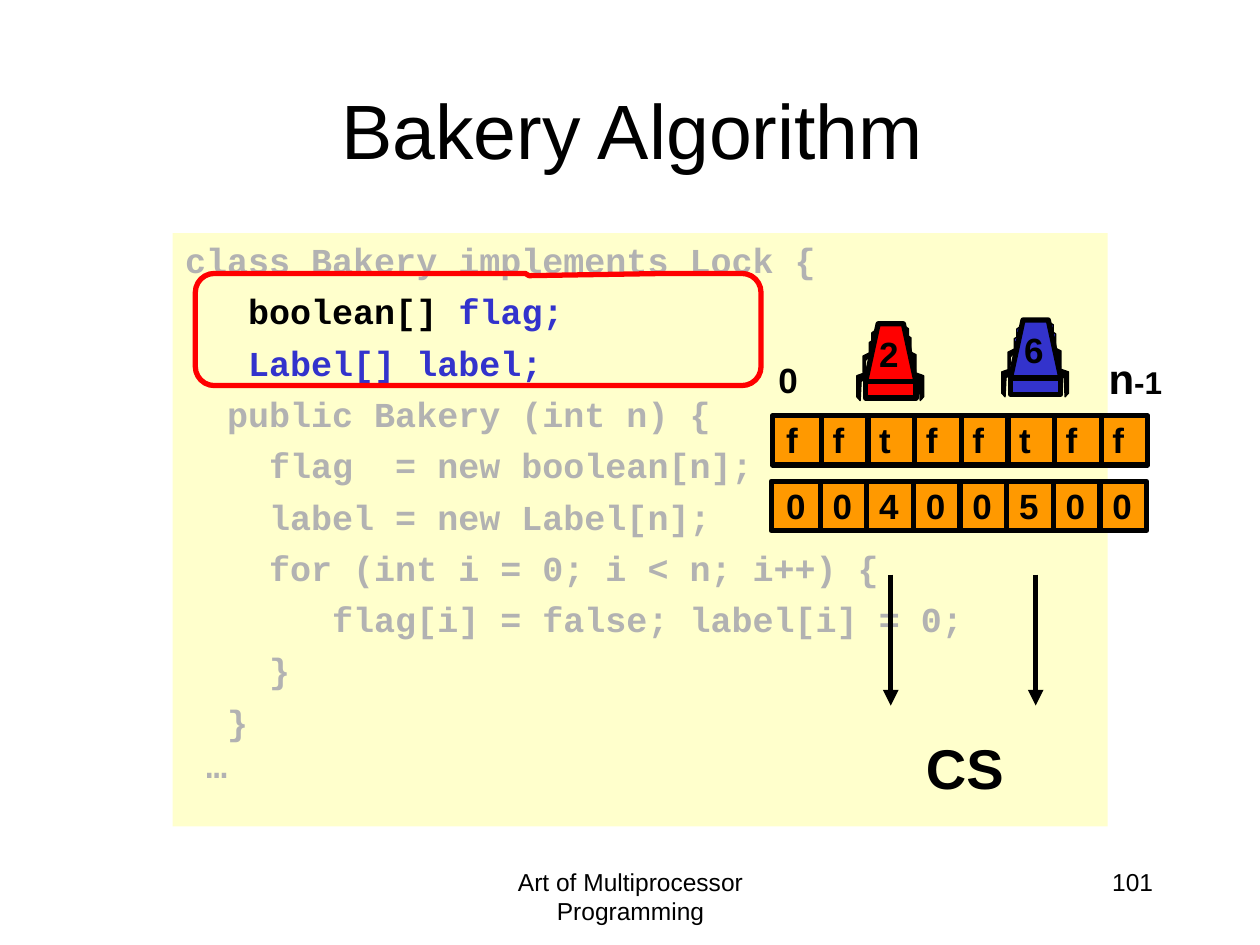
"""Build the Bakery Algorithm slide with its code panel and thread diagram."""
from dataclasses import dataclass
from typing import NamedTuple

from lxml import etree
from pptx import Presentation
from pptx.dml.color import RGBColor
from pptx.enum.shapes import MSO_CONNECTOR, MSO_SHAPE
from pptx.enum.text import MSO_ANCHOR, PP_ALIGN
from pptx.oxml.ns import qn
from pptx.util import Inches, Pt

RECTANGLE = MSO_SHAPE.RECTANGLE
CALLOUT = MSO_SHAPE.ROUNDED_RECTANGULAR_CALLOUT
STRAIGHT = MSO_CONNECTOR.STRAIGHT
TOP, MIDDLE = MSO_ANCHOR.TOP, MSO_ANCHOR.MIDDLE
LEFT, CENTER, RIGHT = PP_ALIGN.LEFT, PP_ALIGN.CENTER, PP_ALIGN.RIGHT


@dataclass(frozen=True)
class Theme:
    black: RGBColor = RGBColor(0, 0, 0)
    panel: RGBColor = RGBColor(0xFF, 0xFF, 0xCC)
    muted: RGBColor = RGBColor(0xB2, 0xB2, 0xB2)
    blue: RGBColor = RGBColor(0x33, 0x33, 0xCC)
    red: RGBColor = RGBColor(0xFF, 0, 0)
    orange: RGBColor = RGBColor(0xFF, 0x99, 0)
    body_font: str = "Arial"
    code_font: str = "Courier New"
    title: Pt = Pt(44)
    section: Pt = Pt(32)
    index: Pt = Pt(24)
    label: Pt = Pt(20)
    suffix: Pt = Pt(18)
    footer: Pt = Pt(14)
    heavy: Pt = Pt(3)
    thin: Pt = Pt(0.75)


THEME = Theme()


class Box(NamedTuple):
    left: float
    top: float
    width: float
    height: float

    def lengths(self) -> list:
        return [Inches(value) for value in self]


class Run(NamedTuple):
    text: str
    size: Pt = THEME.label
    color: RGBColor = THEME.black
    bold: bool = True
    font: str = THEME.body_font


class ArrayRow(NamedTuple):
    left: float
    top: float
    values: str
    label_width: float
    label_top: float


class Chair(NamedTuple):
    left: float
    top: float
    color: RGBColor
    upper_color: RGBColor
    number: str


class ChairPart(NamedTuple):
    box: Box
    mirrored: bool
    upper: bool


CODE_LINES = [
    [("class Bakery implements Lock {", THEME.muted)],
    [("   boolean[] ", THEME.black), ("flag;", THEME.blue)],
    [("   Label[] label;", THEME.blue)],
    [("  public Bakery (int n) {", THEME.muted)],
    [("    flag  = new boolean[n];", THEME.muted)],
    [("    label = new Label[n];", THEME.muted)],
    [("    for (int i = 0; i < n; i++) {", THEME.muted)],
    [("       flag[i] = false; label[i] = 0;", THEME.muted)],
    [("    }", THEME.muted)],
    [("  }", THEME.muted)],
    [(" …", THEME.muted)],
]
ARRAY_ROWS = [
    ArrayRow(6.13, 3.3, "fftfftff", 0.3, 3.27),
    ArrayRow(6.12, 3.82, "00400500", 0.37, 3.8),
]
CHAIRS = [
    Chair(6.87, 2.57, THEME.red, THEME.black, "2"),
    Chair(8.02, 2.54, THEME.blue, THEME.blue, "6"),
]
CHAIR_PARTS = [
    ChairPart(Box(0.37, 0.38, 0.09, 0.23), False, False),
    ChairPart(Box(0.35, 0.22, 0.05, 0.18), False, False),
    ChairPart(Box(0.33, 0.09, 0.03, 0.15), False, True),
    ChairPart(Box(0.31, 0.02, 0.03, 0.13), False, True),
    ChairPart(Box(-0.07, 0.38, 0.09, 0.23), True, False),
    ChairPart(Box(-0.02, 0.23, 0.05, 0.18), True, False),
    ChairPart(Box(0.05, 0.05, 0.03, 0.15), True, True),
    ChairPart(Box(0.03, 0.13, 0.03, 0.13), True, True),
]
PART_OUTLINE = [(0, 0), (1, 0.14), (1, 0.87), (0.7, 1), (0.62, 0.34), (0, 0.17)]
SEAT_BACK = [(0, 1), (0.25, 0), (0.75, 0), (1, 1)]


def apply_formats(target, formats: dict) -> None:
    for name, value in formats.items():
        setattr(target, name, value)


def add_runs(paragraph, runs: list) -> None:
    for item in runs:
        run = paragraph.add_run()
        run.text = item.text
        apply_formats(run.font, {"name": item.font, "size": item.size, "bold": item.bold})
        run.font.color.rgb = item.color


def add_text(slide, box: Box, runs: list, align=LEFT, anchor=TOP, wrap: bool = False) -> None:
    frame = slide.shapes.add_textbox(*box.lengths()).text_frame
    apply_formats(frame, {"word_wrap": wrap, "vertical_anchor": anchor})
    frame.paragraphs[0].alignment = align
    add_runs(frame.paragraphs[0], runs)


def style_shape(shape, fill=None, line=None, width=THEME.heavy) -> None:
    shape.shadow.inherit = False
    for paint, color in ((shape.fill, fill), (shape.line.fill, line)):
        if color is None:
            paint.background()
        else:
            paint.solid()
            paint.fore_color.rgb = color
    if line is not None:
        shape.line.width = width


def add_box(slide, box: Box, fill=None, line=None, kind=RECTANGLE):
    shape = slide.shapes.add_shape(kind, *box.lengths())
    style_shape(shape, fill, line)
    return shape


def add_outline(slide, box: Box, points: list, fill, width, mirrored: bool = False) -> None:
    corners = [
        (Inches(box.left + box.width * (1 - x if mirrored else x)), Inches(box.top + box.height * y))
        for x, y in points
    ]
    builder = slide.shapes.build_freeform(*corners[0], scale=1.0)
    builder.add_line_segments(corners[1:], close=True)
    style_shape(builder.convert_to_shape(), fill, THEME.black, width)


def add_vertical_line(slide, x: float, top: float, bottom: float, arrow: bool = False) -> None:
    ends = [Inches(value) for value in (x, top, x, bottom)]
    connector = slide.shapes.add_connector(STRAIGHT, *ends)
    connector.line.color.rgb = THEME.black
    connector.line.width = THEME.heavy
    if arrow:
        etree.SubElement(connector.line._get_or_add_ln(), qn("a:tailEnd"), type="triangle")
    etree.SubElement(connector._element.spPr, qn("a:effectLst"))


def add_code_panel(slide) -> None:
    frame = add_box(slide, Box(1.37, 1.85, 7.42, 4.71), THEME.panel).text_frame
    apply_formats(frame, {"word_wrap": True, "vertical_anchor": TOP, "margin_top": Inches(0.11)})
    last = len(CODE_LINES) - 1
    for index, line in enumerate(CODE_LINES):
        paragraph = frame.add_paragraph() if index else frame.paragraphs[0]
        paragraph.alignment = LEFT
        if index:
            paragraph.space_before = Pt(5.3)
        if index in (0, last):
            paragraph.line_spacing = 0.8
        add_runs(paragraph, [Run(text, color=color, font=THEME.code_font) for text, color in line])


def add_array_row(slide, row: ArrayRow) -> None:
    add_box(slide, Box(row.left, row.top, 2.98, 0.39), THEME.orange, THEME.black)
    for index, value in enumerate(row.values):
        if index:
            add_vertical_line(slide, row.left + 0.02 + 0.37 * index, row.top, row.top + 0.39)
        label = Box(6.14 + 0.37 * index, row.label_top, row.label_width, 0.43)
        add_text(slide, label, [Run(value)])


def add_chair(slide, chair: Chair) -> None:
    for part in CHAIR_PARTS:
        box = part.box._replace(left=chair.left + part.box.left, top=chair.top + part.box.top)
        fill = chair.upper_color if part.upper else THEME.black
        add_outline(slide, box, PART_OUTLINE, fill, THEME.thin, part.mirrored)
    add_outline(slide, Box(chair.left, chair.top, 0.4, 0.46), SEAT_BACK, chair.color, THEME.heavy)
    add_box(slide, Box(chair.left, chair.top + 0.46, 0.4, 0.13), chair.color, THEME.black)
    add_text(slide, Box(chair.left + 0.01, chair.top + 0.02, 0.37, 0.43), [Run(chair.number)])


def main() -> None:
    presentation = Presentation()
    apply_formats(presentation, {"slide_width": Inches(10), "slide_height": Inches(7.5)})
    slide = presentation.slides.add_slide(presentation.slide_layouts[6])
    footer = Run("Art of Multiprocessor Programming", THEME.footer, bold=False)
    add_text(slide, Box(3.42, 6.83, 3.17, 0.5), [footer], CENTER, wrap=True)
    add_text(slide, Box(7.17, 6.83, 2.08, 0.5), [footer._replace(text="101")], RIGHT, wrap=True)
    title = Run("Bakery Algorithm", THEME.title, bold=False)
    add_text(slide, Box(0.77, 0.4, 8.5, 1.25), [title], CENTER, MIDDLE, True)
    add_code_panel(slide)
    add_text(slide, Box(8.7, 2.75, 0.63, 0.51), [Run("n", THEME.index), Run("-1", THEME.suffix)])
    add_text(slide, Box(6.08, 2.8, 0.37, 0.43), [Run("0")])
    for row in ARRAY_ROWS:
        add_array_row(slide, row)
    for chair in CHAIRS:
        add_chair(slide, chair)
        add_vertical_line(slide, chair.left + 0.2, 4.56, 5.6, arrow=True)
    add_text(slide, Box(7.25, 5.77, 0.83, 0.64), [Run("CS", THEME.section)])
    callout = add_box(slide, Box(1.55, 2.17, 4.49, 0.89), line=THEME.red, kind=CALLOUT)
    for index, value in enumerate((0.09, -0.48, 0.17)):
        callout.adjustments[index] = value
    presentation.save("out.pptx")


if __name__ == "__main__":
    main()
